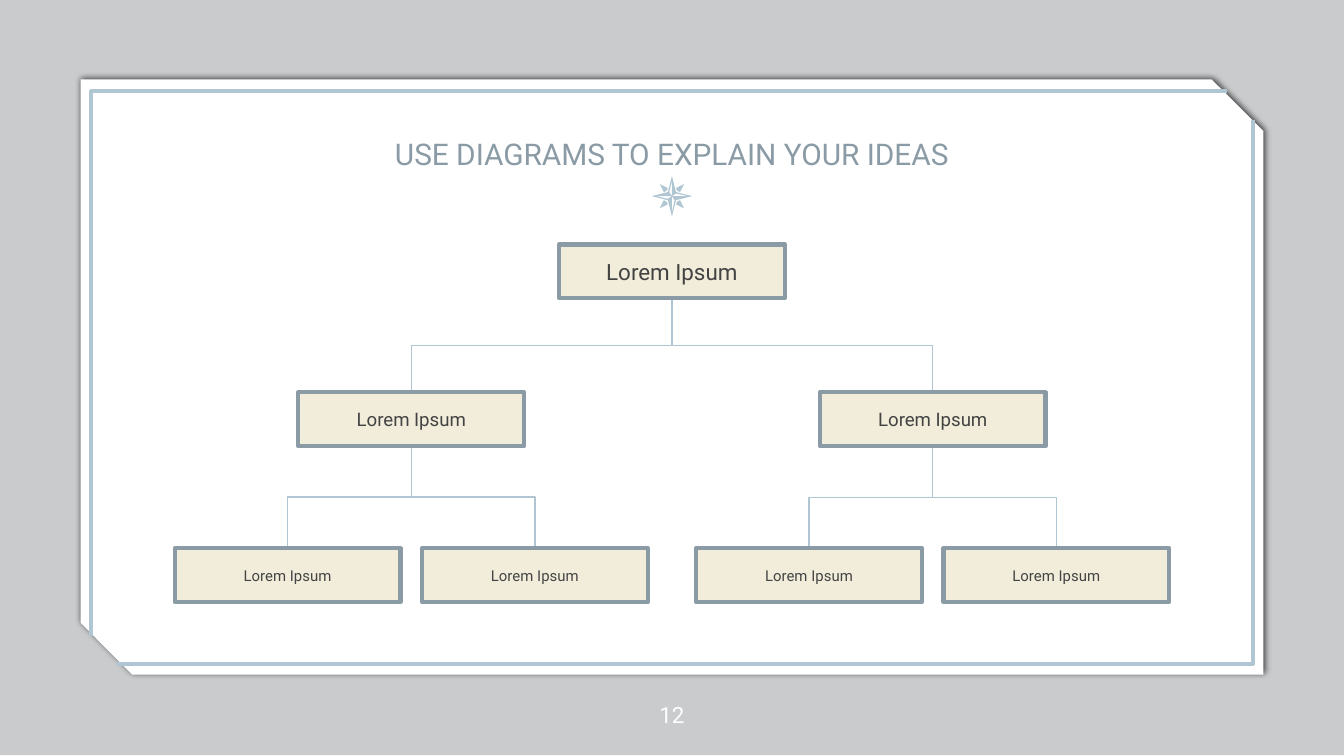
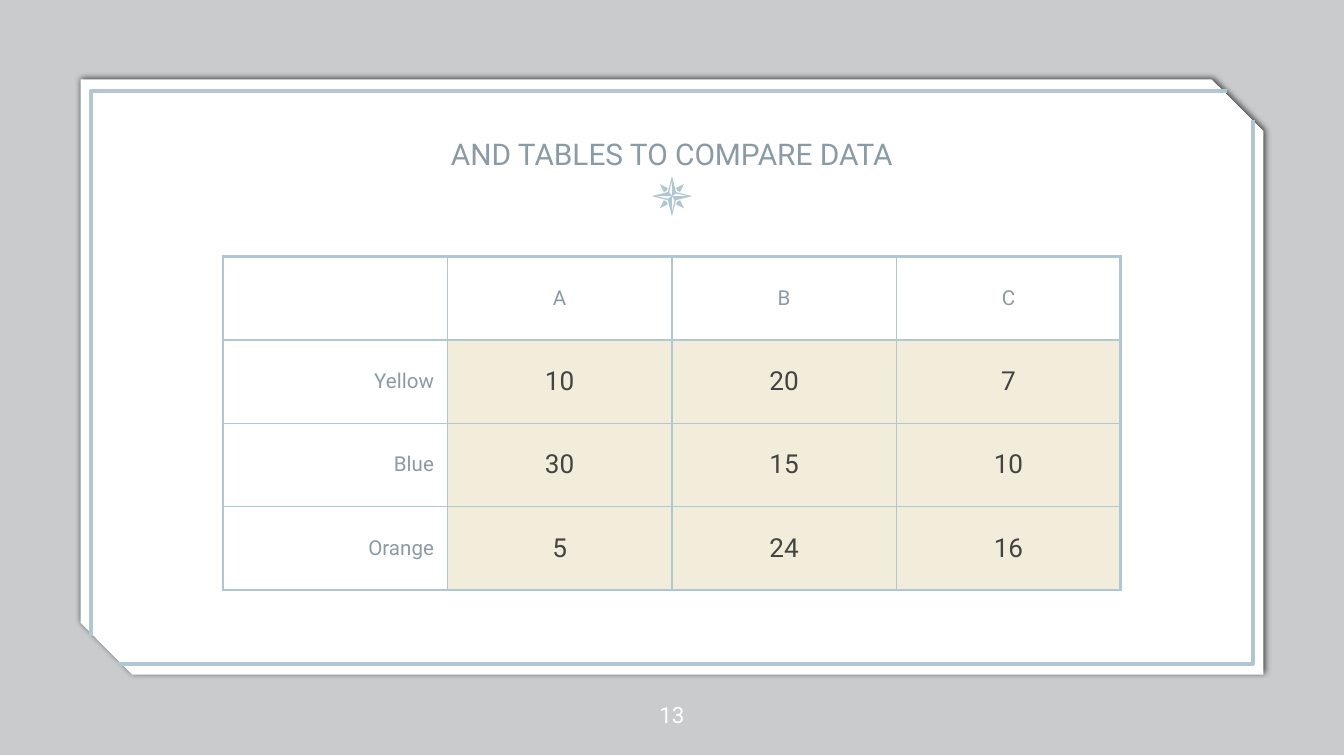
from dataclasses import dataclass
from itertools import product

from lxml.etree import SubElement
from pptx import Presentation
from pptx.dml.color import RGBColor
from pptx.enum.shapes import MSO_CONNECTOR, MSO_SHAPE
from pptx.enum.text import MSO_ANCHOR, PP_ALIGN
from pptx.oxml.ns import qn
from pptx.util import Inches, Pt


@dataclass(frozen=True)
class Theme:
    """Colours, font and type sizes."""
    font: str = "Roboto"
    veil: str = "040E11"
    white: str = "FFFFFF"
    sky: str = "B0C6D3"
    slate: str = "8A9BA6"
    cream: str = "F2EDDA"
    ink: str = "434343"
    title: float = 16
    number: float = 12
    head: float = 11
    value: float = 14
    levels: tuple = (12, 10, 8)
    thick: float = 2.25
    outer: float = 1.5
    thin: float = 0.75


THEME = Theme()
MIDDLE = 5
BOX_W, BOX_H = 1.68, 0.4
TOPS = (1.82, 2.92, 4.08)
SPREADS = (1.94, 0.92)
TABLE_ROWS = (
    ("", "A", "B", "C"),
    ("Yellow", "10", "20", "7"),
    ("Blue", "30", "15", "10"),
    ("Orange", "5", "24", "16"),
)


def rgb(code):
    """Turn a hex code into a colour."""
    return RGBColor.from_string(code)


def paint(shape, fill=None, line=None):
    """Set fill and line of a shape and drop its shadow."""
    shape.shadow.inherit = False
    if fill:
        shape.fill.solid()
        shape.fill.fore_color.rgb = rgb(fill)
    else:
        shape.fill.background()
    if line:
        shape.line.color.rgb = rgb(line)
        shape.line.width = Pt(THEME.thick)
    else:
        shape.line.fill.background()


def write(frame, text, size, color, align=PP_ALIGN.CENTER):
    """Write one styled paragraph."""
    line = frame.paragraphs[0]
    line.text = text
    line.alignment = align
    line.font.name = THEME.font
    line.font.size = Pt(size)
    line.font.color.rgb = rgb(color)


def inset(frame, gap, anchor=MSO_ANCHOR.MIDDLE):
    """Set equal margins, wrapping and anchor."""
    frame.word_wrap = True
    frame.vertical_anchor = anchor
    frame.margin_left = frame.margin_right = Inches(gap)
    frame.margin_top = frame.margin_bottom = Inches(gap)


def add_label(slide, area, text, size, color, anchor=MSO_ANCHOR.MIDDLE):
    """Add a text box without margins."""
    frame = slide.shapes.add_textbox(*map(Inches, area)).text_frame
    inset(frame, 0, anchor)
    write(frame, text, size, color)


def add_path(slide, paths, closed=True):
    """Add a freeform made of one or more outlines."""
    pen = None
    for path in paths:
        points = [(Inches(x), Inches(y)) for x, y in path]
        if pen is None:
            pen = slide.shapes.build_freeform(*points[0])
        else:
            pen.move_to(*points[0])
        pen.add_line_segments(points[1:], close=closed)
    return pen.convert_to_shape()


def add_veil(slide):
    """Add the see-through backdrop."""
    area = map(Inches, (0, -0.01, 10, 5.63))
    veil = slide.shapes.add_shape(MSO_SHAPE.RECTANGLE, *area)
    paint(veil, THEME.veil)
    color = veil.fill._xPr.find(".//" + qn("a:srgbClr"))
    SubElement(color, qn("a:alpha"), val="21000")


def add_card(slide):
    """Add the snipped card with its soft shadow and corner lines."""
    area = map(Inches, (0.6, 0.59, 8.8, 4.43))
    card = slide.shapes.add_shape(MSO_SHAPE.SNIP_2_DIAG_RECTANGLE, *area)
    card.adjustments[0] = 0
    card.adjustments[1] = 0.087
    paint(card, THEME.white)
    effects = card._element.spPr.find(qn("a:effectLst"))
    shade = SubElement(effects, qn("a:outerShdw"), blurRad=str(Pt(3.4)),
                       dist=str(Pt(0.8)), dir="0", algn="bl", rotWithShape="0")
    color = SubElement(shade, qn("a:srgbClr"), val="000000")
    SubElement(color, qn("a:alpha"), val="68000")
    for path in (((0.68, 4.73), (0.68, 0.68), (9.13, 0.68)),
                 ((9.32, 0.89), (9.32, 4.94), (0.87, 4.94))):
        paint(add_path(slide, [path], closed=False), line=THEME.sky)


def add_compass(slide, x, y):
    """Add the compass rose around a centre."""
    petal = ((0.09, 0.09), (0.06, 0.03), (0.04, 0.04), (0.03, 0.06))
    for right, down in product((-1, 1), repeat=2):
        path = [(x + right * a, y + down * b) for a, b in petal]
        paint(add_path(slide, [path]), THEME.sky)
    star, cuts = [], []
    tip, waist = (0, -0.15), (0.03, -0.03)
    cut = [(0, -0.12), (0, 0), (-0.02, -0.03)]
    for _ in range(4):
        star += [(x + a, y + b) for a, b in (tip, waist)]
        cuts.append([(x + a, y + b) for a, b in cut])
        tip, waist, *cut = [(-b, a) for a, b in (tip, waist, *cut)]
    paint(add_path(slide, [star, *cuts]), THEME.sky)


def add_page(deck, title, number):
    """Add a slide with the shared frame, title and number."""
    slide = deck.slides.add_slide(deck.slide_layouts[6])
    add_veil(slide)
    add_card(slide)
    add_compass(slide, MIDDLE, 1.46)
    add_label(slide, (1.1, 0.68, 7.8, 0.6), title, THEME.title,
              THEME.slate, MSO_ANCHOR.BOTTOM)
    add_label(slide, (4.7, 5.02, 0.6, 0.6), str(number), THEME.number,
              THEME.white)
    return slide


def add_link(slide, start, end):
    """Add an elbow line that leaves downwards."""
    (x1, y1), (x2, y2) = start, end
    x, y = (x1 + x2) / 2, (y1 + y2) / 2
    wide, high = (x2 - x1) / 2, (y2 - y1) / 2
    ends = map(Inches, (x - high, y + wide, x + high, y - wide))
    link = slide.shapes.add_connector(MSO_CONNECTOR.ELBOW, *ends)
    link.line.color.rgb = rgb(THEME.sky)
    link.line.width = Pt(THEME.thin)
    props = link._element.spPr
    props.find(qn("a:xfrm")).set("rot", str(90 * 60000))
    SubElement(props, qn("a:effectLst"))


def add_node(slide, x, level=0):
    """Add a box of the tree and all boxes below it."""
    top = TOPS[level]
    if level < len(SPREADS):
        for side in (-1, 1):
            child = x + side * SPREADS[level]
            add_link(slide, (x, top + BOX_H), (child, TOPS[level + 1]))
            add_node(slide, child, level + 1)
    area = map(Inches, (x - BOX_W / 2, top, BOX_W, BOX_H))
    box = slide.shapes.add_shape(MSO_SHAPE.RECTANGLE, *area)
    paint(box, THEME.cream, THEME.slate)
    inset(box.text_frame, 0.1)
    write(box.text_frame, "Lorem Ipsum", THEME.levels[level], THEME.ink)


def add_edge(cell, side, width):
    """Add one border line to a cell."""
    props = cell._tc.get_or_add_tcPr()
    line = SubElement(props, qn("a:ln" + side), w=str(Pt(width)))
    fill = SubElement(line, qn("a:solidFill"))
    SubElement(fill, qn("a:srgbClr"), val=THEME.sky)


def add_grid(slide, rows):
    """Add the table with thicker outer borders."""
    high, wide = len(rows), len(rows[0])
    area = map(Inches, (1.66, 1.91, 1.67 * wide, 0.62 * high))
    table = slide.shapes.add_table(high, wide, *area).table
    table.first_row = table.horz_banding = False
    for r, c in product(range(high), range(wide)):
        cell = table.cell(r, c)
        cell.vertical_anchor = MSO_ANCHOR.MIDDLE
        cell.margin_left = cell.margin_right = Inches(0.1)
        cell.margin_top = cell.margin_bottom = Inches(0.07)
        rims = {"L": c == 0, "R": c == wide - 1,
                "T": r == 0, "B": r == high - 1}
        for side, rim in rims.items():
            add_edge(cell, side, THEME.outer if rim else THEME.thin)
        if r and c:
            cell.fill.solid()
            cell.fill.fore_color.rgb = rgb(THEME.cream)
            write(cell.text_frame, rows[r][c], THEME.value, THEME.ink)
        else:
            cell.fill.background()
            align = PP_ALIGN.CENTER if c else PP_ALIGN.RIGHT
            write(cell.text_frame, rows[r][c], THEME.head, THEME.slate, align)


def main():
    """Build and save the deck."""
    deck = Presentation()
    deck.slide_width = Inches(10)
    deck.slide_height = deck.slide_width * 9 // 16
    tree = add_page(deck, "USE DIAGRAMS TO EXPLAIN YOUR IDEAS", 12)
    add_node(tree, MIDDLE)
    data = add_page(deck, "AND TABLES TO COMPARE DATA", 13)
    add_grid(data, TABLE_ROWS)
    deck.save("out.pptx")


if __name__ == "__main__":
    main()
